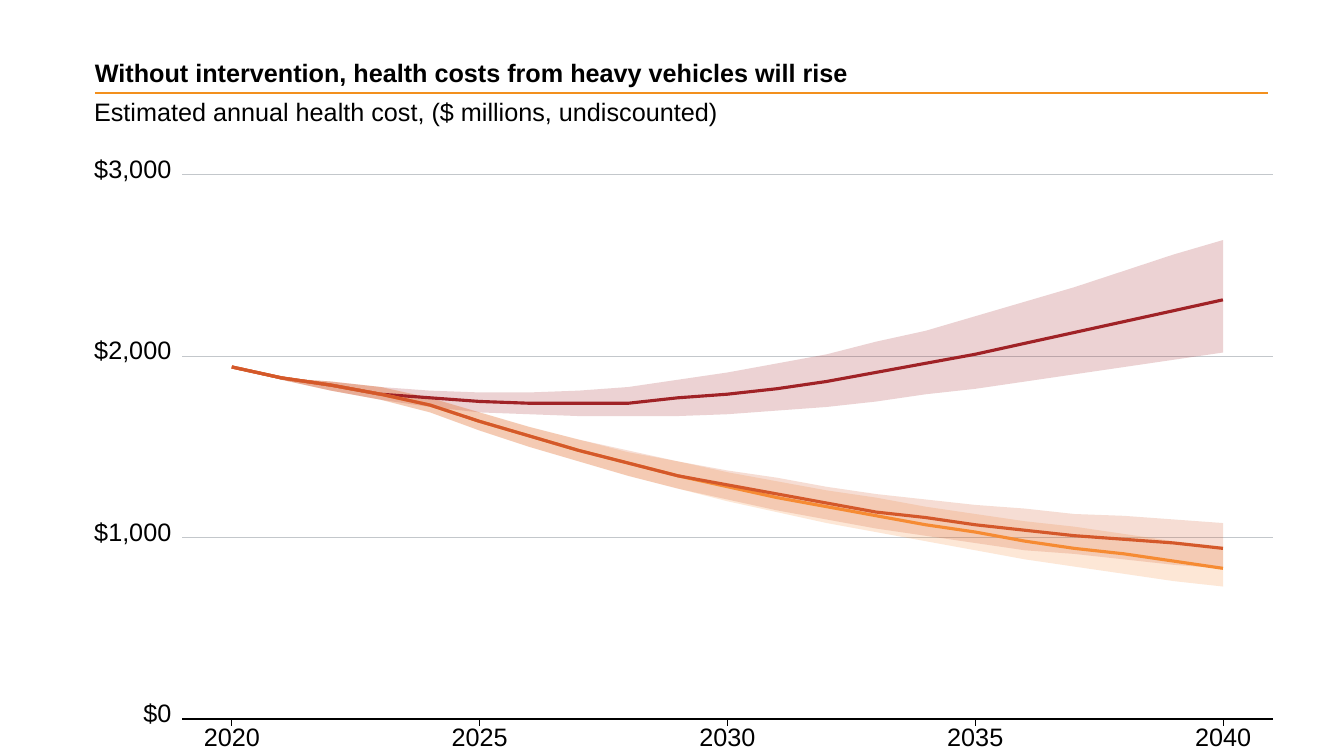
from lxml.etree import SubElement
from pptx import Presentation
from pptx.chart.data import XyChartData
from pptx.dml.color import RGBColor
from pptx.enum.chart import (XL_CHART_TYPE as CHART, XL_MARKER_STYLE as MARKER,
                             XL_TICK_LABEL_POSITION as LABELS, XL_TICK_MARK as TICK)
from pptx.enum.shapes import MSO_CONNECTOR as CONNECTOR
from pptx.enum.text import MSO_ANCHOR as ANCHOR, MSO_AUTO_SIZE as AUTO, PP_ALIGN as ALIGN
from pptx.oxml import parse_xml
from pptx.oxml.ns import nsdecls, qn
from pptx.util import Inches, Pt

COLS, ROWS = 160, 90
FIRST, LAST, STEP = 2019, 2041, 5
YEARS = range(2020, 2041)
AXIS_LEFT, AXIS_ROW = 21.7, 85.6
YEAR_COLS, THOUSAND_ROWS, TOP = 5.9, 21.6, 3000

SCENARIOS = [
    dict(name="Levelling", color="D4582A",
         upper=[1940, 1880, 1860, 1830, 1770, 1690, 1610, 1540, 1480, 1420, 1370,
                1330, 1280, 1240, 1210, 1180, 1160, 1130, 1120, 1100, 1080],
         middle=[1940, 1880, 1840, 1790, 1730, 1640, 1560, 1480, 1410, 1340, 1290,
                 1240, 1190, 1140, 1110, 1070, 1040, 1010, 990, 970, 940],
         lower=[1940, 1870, 1810, 1760, 1690, 1590, 1500, 1420, 1340, 1270, 1210,
                1150, 1100, 1050, 1010, 970, 930, 910, 880, 850, 830]),
    dict(name="Falling", color="F68B33",
         upper=[1940, 1880, 1860, 1830, 1770, 1690, 1610, 1540, 1470, 1420, 1360,
                1310, 1260, 1220, 1170, 1130, 1090, 1060, 1020, 980, 950],
         middle=[1940, 1880, 1840, 1790, 1730, 1640, 1560, 1480, 1410, 1340, 1280,
                 1220, 1170, 1120, 1070, 1030, 980, 940, 910, 870, 830],
         lower=[1940, 1870, 1810, 1760, 1690, 1590, 1500, 1420, 1340, 1270, 1200,
                1140, 1080, 1030, 980, 930, 880, 840, 800, 760, 730]),
    dict(name="Rising", color="A02226",
         upper=[1940, 1880, 1860, 1830, 1810, 1800, 1800, 1810, 1830, 1870, 1910,
                1960, 2010, 2080, 2140, 2220, 2300, 2380, 2470, 2560, 2640],
         middle=[1940, 1880, 1840, 1790, 1770, 1750, 1740, 1740, 1740, 1770, 1790,
                 1820, 1860, 1910, 1960, 2010, 2070, 2130, 2190, 2250, 2310],
         lower=[1940, 1870, 1810, 1760, 1720, 1690, 1680, 1670, 1670, 1670, 1680,
                1700, 1720, 1750, 1790, 1820, 1860, 1900, 1940, 1980, 2020]),
]


def rgb(value):
    """Turn a hex string into a colour."""
    return RGBColor.from_string(value)


def year_col(year):
    """Return the grid column of a year."""
    return AXIS_LEFT + (year - FIRST) * YEAR_COLS


def cost_row(cost):
    """Return the grid row of a cost."""
    return AXIS_ROW - cost / 1000 * THOUSAND_ROWS


def write(tf, text, font="Arial", size=18, color="000000", bold=False,
          align=ALIGN.LEFT, anchor=ANCHOR.TOP, spacing=1.0):
    """Put formatted text into a text frame."""
    tf.margin_left = tf.margin_right = tf.margin_top = tf.margin_bottom = 0
    tf.word_wrap, tf.auto_size, tf.vertical_anchor = True, AUTO.NONE, anchor
    p = tf.paragraphs[0]
    p.alignment, p.line_spacing = align, spacing
    r = p.add_run()
    r.text = text
    r.font.name, r.font.size, r.font.bold = font, Pt(size), bold
    r.font.color.rgb = rgb(color)


class Deck:
    """Hold the grid, the style and the current slide."""

    font, size, ink, rule, grid = "Arial", 18, "000000", "F3901D", "C3C7CB"

    def __init__(self):
        """Open a presentation with one title-only slide."""
        self.prs = Presentation()
        self.prs.slide_width, self.prs.slide_height = Inches(13.33), Inches(7.5)
        self.s = self.prs.slides.add_slide(self.prs.slide_layouts[5])

    def at(self, col, row):
        """Convert a grid position to lengths."""
        return (round(self.prs.slide_width * col / COLS),
                round(self.prs.slide_height * row / ROWS))

    def title(self, text, col, row, cols, rows):
        """Place and fill the title placeholder."""
        sp = self.s.shapes.title
        sp.left, sp.top = self.at(col, row)
        sp.width, sp.height = self.at(cols, rows)
        write(sp.text_frame, text, self.font, self.size, self.ink,
              bold=True, anchor=ANCHOR.BOTTOM)

    def text(self, text, col, row, cols, rows, **fmt):
        """Add a text box."""
        sp = self.s.shapes.add_textbox(*self.at(col, row), *self.at(cols, rows))
        write(sp.text_frame, text, self.font, self.size, self.ink, **fmt)

    def label(self, text, col, row, cols, rows, align):
        """Add an axis label."""
        self.text(text, col, row, cols, rows, align=align,
                  anchor=ANCHOR.MIDDLE, spacing=Pt(self.size))

    def line(self, start, end, color, width):
        """Add a straight line."""
        sp = self.s.shapes.add_connector(CONNECTOR.STRAIGHT,
                                         *self.at(*start), *self.at(*end))
        sp.line.color.rgb, sp.line.width = rgb(color), Pt(width)
        SubElement(sp._element.spPr, qn("a:effectLst"))

    def level(self, cost, color, width):
        """Add a line across the plot at a cost."""
        row = cost_row(cost)
        self.line((AXIS_LEFT, row), (year_col(LAST), row), color, width)

    def band(self, upper, lower, color, opacity=20):
        """Add a translucent range between two curves."""
        curve = list(zip(YEARS, upper)) + list(zip(YEARS, lower))[::-1]
        points = [self.at(year_col(year), cost_row(cost)) for year, cost in curve]
        outline = self.s.shapes.build_freeform(*points[0])
        outline.add_line_segments(points[1:], close=True)
        sp = outline.convert_to_shape()
        sp.shadow.inherit = False
        sp.line.fill.background()
        sp.fill.solid()
        sp.fill.fore_color.rgb = rgb(color)
        tint = sp._element.spPr.find(".//" + qn("a:srgbClr"))
        SubElement(tint, qn("a:alpha"), val=str(opacity * 1000))

    def chart(self, scenarios, col, row, cols, rows):
        """Add the chart of central estimates."""
        data = XyChartData()
        for item in scenarios:
            series = data.add_series(item["name"])
            for year, cost in zip(YEARS, item["middle"]):
                series.add_data_point(year, cost)
        chart = self.s.shapes.add_chart(CHART.XY_SCATTER_LINES_NO_MARKERS,
                                        *self.at(col, row), *self.at(cols, rows),
                                        data).chart
        chart.has_legend = chart.has_title = False
        chart.font.name, chart.font.size = self.font, Pt(self.size)
        chart.font.color.rgb = rgb(self.ink)
        for series, item in zip(chart.plots[0].series, scenarios):
            series.smooth, series.marker.style = False, MARKER.NONE
            series.format.line.color.rgb = rgb(item["color"])
            series.format.line.width = Pt(2.25)
        for axis, low, high, unit in ((chart.category_axis, FIRST, LAST, STEP),
                                      (chart.value_axis, 0, TOP, 1000)):
            axis.minimum_scale, axis.maximum_scale, axis.major_unit = low, high, unit
            axis.major_tick_mark = axis.minor_tick_mark = TICK.NONE
            axis.tick_label_position = LABELS.NONE
            axis.has_title = axis.has_major_gridlines = False
            axis.format.line.fill.background()
        self.place_plot(chart, (AXIS_LEFT - col) / cols, (cost_row(TOP) - row) / rows,
                        (LAST - FIRST) * YEAR_COLS / cols,
                        (AXIS_ROW - cost_row(TOP)) / rows)

    def place_plot(self, chart, x, y, w, h):
        """Fix the inner plot area and clear the backgrounds."""
        plot = chart._chartSpace.find(".//" + qn("c:plotArea"))
        for part in plot.findall(qn("c:layout")) + plot.findall(qn("c:spPr")):
            plot.remove(part)
        sizes = "".join(f'<c:{key} val="{value:.4f}"/>'
                        for key, value in zip("xywh", (x, y, w, h)))
        plot.insert(0, parse_xml(
            f'<c:layout {nsdecls("c")}><c:manualLayout><c:layoutTarget val="inner"/>'
            f'<c:xMode val="edge"/><c:yMode val="edge"/>{sizes}'
            '</c:manualLayout></c:layout>'))
        clear = (f'<c:spPr {nsdecls("c", "a")}><a:noFill/>'
                 '<a:ln><a:noFill/></a:ln></c:spPr>')
        plot.append(parse_xml(clear))
        chart._chartSpace.find(qn("c:chart")).addnext(parse_xml(clear))


def main():
    """Build the slide and save it."""
    deck = Deck()
    deck.title("Without intervention, health costs from heavy vehicles will rise",
               11.3, 2.4, 118.5, 8)
    deck.line((11.3, 11.1), (151, 11.1), deck.rule, 1.5)
    deck.text("Estimated annual health cost, ($ millions, undiscounted)",
              11.2, 11.9, 139.8, 3.2, spacing=0.9)
    for cost in range(0, TOP + 1, 1000):
        deck.level(cost, deck.grid, 0.37)
        deck.label(f"${cost:,}", 11.1, cost_row(cost) - 1.8, 9.3, 2.7, ALIGN.RIGHT)
    for item in reversed(SCENARIOS):
        deck.band(item["upper"], item["lower"], item["color"])
    deck.chart(SCENARIOS, 11.2, 18.6, 141.7, 71.4)
    deck.level(0, deck.ink, 0.75)
    for year in YEARS[::STEP]:
        col = year_col(year)
        deck.line((col, AXIS_ROW), (col, AXIS_ROW + 0.8), deck.ink, 0.56)
        deck.label(str(year), col - 4, 86.9, 8, 2.2, ALIGN.CENTER)
    deck.prs.save("out.pptx")


if __name__ == "__main__":
    main()
